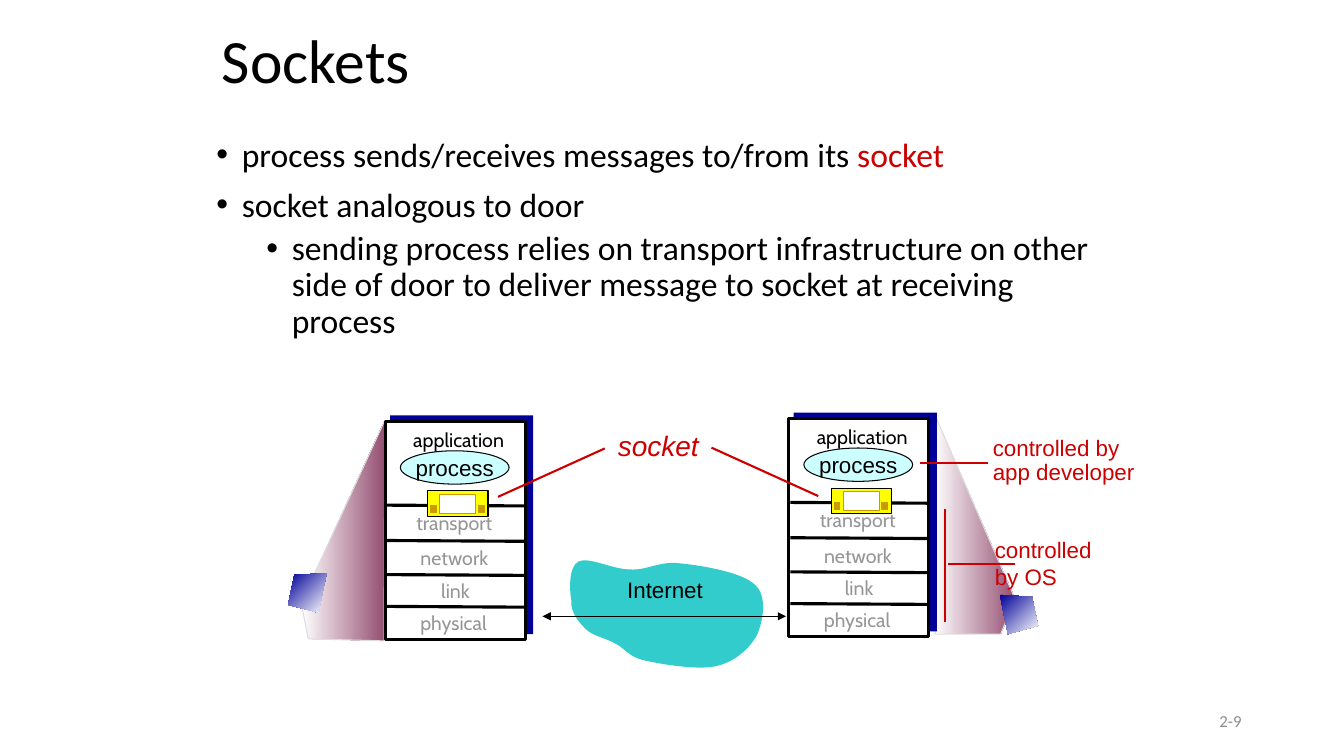
"""Build the slide that explains sockets between two hosts across the Internet."""
from dataclasses import dataclass
from typing import Any, NamedTuple, Optional

from lxml.etree import SubElement
from pptx import Presentation
from pptx.dml.color import RGBColor
from pptx.enum.shapes import MSO_CONNECTOR, MSO_SHAPE
from pptx.enum.text import MSO_ANCHOR, MSO_AUTO_SIZE, PP_ALIGN
from pptx.oxml.ns import qn
from pptx.util import Cm, Pt

BLACK, WHITE, RED, GREY = "000000", "FFFFFF", "CC0000", "969696"
NAVY, PURPLE, GOLD, YELLOW = "000099", "954F72", "CC9900", "FFFF00"
Point = tuple[float, float]


class Box(NamedTuple):
    left: float
    top: float
    width: float
    height: float

    def moved(self, origin: Point) -> "Box":
        return Box(self.left + origin[0], self.top + origin[1], self.width, self.height)

    def lengths(self) -> list[int]:
        return [Cm(value) for value in self]


@dataclass
class Block:
    box: Box
    fill: str
    line: Optional[str] = None
    weight: float = 0.75
    preset: MSO_SHAPE = MSO_SHAPE.RECTANGLE


@dataclass
class Label:
    box: Box
    lines: list[str]
    size: float = 16
    color: str = BLACK
    face: str = "Arial"
    italic: bool = False
    align: PP_ALIGN = PP_ALIGN.LEFT
    spacing: float = 1.0
    wrap: bool = False


@dataclass
class Line:
    start: Point
    end: Point
    color: str = RED
    weight: float = 1.5
    arrows: bool = False


@dataclass
class Outline:
    points: list[Point]
    colors: list[str]
    angle: float = 0
    line: Optional[str] = None
    curved: bool = False


@dataclass
class Bullet:
    runs: list[tuple[str, str]]
    level: int
    indent: float
    before: float


def set_all(target: Any, values: dict[str, Any]) -> None:
    for name, value in values.items():
        setattr(target, name, value)


def paint(color: Any, code: str) -> None:
    color.rgb = RGBColor.from_string(code)


def style_font(font: Any, size: float, color: str, face: str, italic: bool = False) -> None:
    set_all(font, {"size": Pt(size), "name": face, "italic": italic})
    paint(font.color, color)


def finish(shape: Any, colors: list[str], line: Optional[str], weight: float, angle: float = 0) -> None:
    shape.shadow.inherit = False
    if len(colors) > 1:
        shape.fill.gradient()
        shape.fill.gradient_angle = -angle % 360
        for stop, code in zip(shape.fill.gradient_stops, colors):
            paint(stop.color, code)
    else:
        shape.fill.solid()
        paint(shape.fill.fore_color, colors[0])
    if line:
        paint(shape.line.color, line)
        shape.line.width = Pt(weight)
    else:
        shape.line.fill.background()


def draw_block(shapes: Any, block: Block, origin: Point) -> Any:
    shape = shapes.add_shape(block.preset, *block.box.moved(origin).lengths())
    finish(shape, [block.fill], block.line, block.weight)
    return shape


def bend(shape: Any) -> None:
    segments = list(shape.element.iter(qn("a:lnTo")))
    for first in range(0, len(segments), 3):
        curve = segments[first].makeelement(qn("a:cubicBezTo"))
        segments[first].addprevious(curve)
        for segment in segments[first:first + 3]:
            curve.append(segment[0])
            segment.getparent().remove(segment)


def draw_outline(shapes: Any, outline: Outline) -> None:
    corners = [(Cm(x), Cm(y)) for x, y in outline.points]
    builder = shapes.build_freeform(*corners[0], scale=1.0)
    builder.add_line_segments(corners[1:], close=True)
    shape = builder.convert_to_shape()
    if outline.curved:
        bend(shape)
    finish(shape, outline.colors, outline.line, 0.75, outline.angle)


def draw_line(shapes: Any, line: Line) -> None:
    ends = [Cm(value) for value in (*line.start, *line.end)]
    connector = shapes.add_connector(MSO_CONNECTOR.STRAIGHT, *ends)
    paint(connector.line.color, line.color)
    connector.line.width = Pt(line.weight)
    properties = connector.element.spPr
    if line.arrows:
        for end in ("a:headEnd", "a:tailEnd"):
            SubElement(properties.find(qn("a:ln")), qn(end), type="triangle")
    SubElement(properties, qn("a:effectLst"))


def write(frame: Any, label: Label) -> None:
    frame.word_wrap = label.wrap
    for number, text in enumerate(label.lines):
        paragraph = frame.add_paragraph() if number else frame.paragraphs[0]
        set_all(paragraph, {"alignment": label.align, "line_spacing": label.spacing})
        run = paragraph.add_run()
        run.text = text
        style_font(run.font, label.size, label.color, label.face, label.italic)


def draw_label(shapes: Any, label: Label, origin: Point = (0, 0)) -> None:
    frame = shapes.add_textbox(*label.box.moved(origin).lengths()).text_frame
    frame.auto_size = MSO_AUTO_SIZE.SHAPE_TO_FIT_TEXT
    write(frame, label)


def draw_host(shapes: Any, origin: Point) -> None:
    for block in (Block(Box(0.12, -0.15, 3.61, 5.51), NAVY),
                  Block(Box(0, 0, 3.53, 5.49), WHITE, BLACK, 2.25)):
        draw_block(shapes, block, origin)
    for height in (2.11, 3, 3.86, 4.66):
        y = origin[1] + height
        draw_line(shapes, Line((origin[0] + 0.04, y), (origin[0] + 3.55, y + 0.02), BLACK, 2.25))
    for layer, left, top, color in (("application", 0.02, -0.03, BLACK), ("transport", -0.09, 2.06, GREY),
                                    ("network", -0.09, 2.96, GREY), ("link", -0.06, 3.78, GREY),
                                    ("physical", -0.11, 4.58, GREY)):
        draw_label(shapes, Label(Box(left, top, 3.66, 0.91), [layer], 14, color, "Cabin",
                                 align=PP_ALIGN.CENTER, spacing=1.1, wrap=True), origin)
    oval = Block(Box(0.38, 0.74, 2.74, 0.84), "CCFFFF", BLACK, preset=MSO_SHAPE.OVAL)
    process = draw_block(shapes, oval, origin)
    process.text_frame.vertical_anchor = MSO_ANCHOR.MIDDLE
    write(process.text_frame, Label(oval.box, ["process"], align=PP_ALIGN.CENTER))
    for part in (Block(Box(1.07, 1.75, 1.52, 0.64), YELLOW, BLACK),
                 Block(Box(1.37, 1.83, 0.91, 0.48), WHITE, GOLD),
                 *(Block(Box(left, 2.11, 0.15, 0.18), GOLD, GOLD) for left in (1.14, 2.34))):
        draw_block(shapes, part, origin)


def fill_placeholder(placeholder: Any, box: Box, bullets: list[Bullet], size: float) -> None:
    set_all(placeholder, dict(zip(("left", "top", "width", "height"), box.lengths())))
    frame = placeholder.text_frame
    set_all(frame, {"word_wrap": True, "auto_size": MSO_AUTO_SIZE.NONE})
    for number, bullet in enumerate(bullets):
        paragraph = frame.add_paragraph() if number else frame.paragraphs[0]
        set_all(paragraph, {"level": bullet.level, "line_spacing": 0.9, "alignment": PP_ALIGN.LEFT,
                            "space_before": Pt(bullet.before)})
        if bullet.indent:
            properties = paragraph._p.get_or_add_pPr()
            properties.set("marL", str(Cm(bullet.indent)))
            properties.set("indent", str(Cm(-0.64)))
            SubElement(properties, qn("a:buFont"), typeface="Arial")
            SubElement(properties, qn("a:buChar"), char="•")
        for text, color in bullet.runs:
            run = paragraph.add_run()
            run.text = text
            style_font(run.font, size, color, "Calibri")


CLOUD = [(14.4, 15.14), (14.35, 14.86), (14.33, 14.27), (14.58, 14.15), (14.83, 14.02), (15.44, 14.35),
         (15.88, 14.35), (16.31, 14.38), (16.64, 14.12), (17.17, 14.2), (17.7, 14.25), (18.72, 14.43),
         (19.02, 14.73), (19.35, 15.01), (19.23, 15.65), (19.08, 16), (18.9, 16.33), (18.52, 16.69),
         (18.03, 16.79), (17.58, 16.89), (16.66, 16.74), (16.23, 16.64), (15.82, 16.54), (15.75, 16.33),
         (15.49, 16.21), (15.27, 16.08), (14.94, 16.03), (14.76, 15.85), (14.58, 15.67), (14.38, 15.44),
         (14.4, 15.14)]
RIGHT_BEAM = [(25.58, 15.09), (23.54, 10.41), (23.57, 15.98), (25.22, 15.98)]
LEFT_BEAM = [(7.59, 15.19), (9.7, 10.59), (9.68, 16.15), (7.77, 16.1)]
LEFT_COMPUTER = [(8.23, 14.45), (7.42, 14.48), (7.26, 15.24), (8.03, 15.44)]
RIGHT_COMPUTER = [(25.2, 14.99), (26.01, 15.04), (26.16, 15.77), (25.4, 15.98)]
BULLETS = [
    Bullet([("process sends/receives messages to/from its ", BLACK), ("socket", RED)], 0, 0.64, 0),
    Bullet([("socket analogous to door", BLACK)], 0, 0.64, 10),
    Bullet([("sending process relies on transport infrastructure on other side of door "
             "to deliver message to socket at receiving process", BLACK)], 1, 1.9, 5)]


def main() -> None:
    deck = Presentation()
    set_all(deck, {"slide_width": Cm(33.87), "slide_height": Cm(19.05)})
    slide = deck.slides.add_slide(deck.slide_layouts[1])
    shapes = slide.shapes
    fill_placeholder(shapes.title, Box(5.34, 0.36, 22.43, 2.49), [Bullet([("Sockets", BLACK)], 0, 0, 0)], 44)
    fill_placeholder(slide.placeholders[1], Box(5.2, 3.35, 22.86, 6.48), BULLETS, 24)
    for outline in (Outline(RIGHT_BEAM, [WHITE, PURPLE], line="DDDDDD"),
                    Outline(CLOUD, ["33CCCC"], curved=True),
                    Outline(LEFT_BEAM, [WHITE, PURPLE], line="DDDDDD")):
        draw_outline(shapes, outline)
    for origin in ((9.71, 10.62), (19.88, 10.55)):
        draw_host(shapes, origin)
    for line in (Line((13.67, 15.53), (19.81, 15.53), BLACK, 0.75, True),
                 Line((24.89, 11.66), (23.19, 11.66)), Line((23.82, 12.83), (23.82, 15.67)),
                 Line((25.58, 14.22), (23.9, 14.22)), Line((12.55, 12.52), (15.24, 11.3)),
                 Line((20.62, 12.5), (17.93, 11.28))):
        draw_line(shapes, line)
    for label in (Label(Box(15.54, 14.39, 2.44, 0.94), ["Internet"], align=PP_ALIGN.CENTER),
                  Label(Box(24.82, 13.39, 2.95, 1.5), ["controlled", "by OS"], color=RED),
                  Label(Box(24.77, 10.88, 4.09, 1.47), ["controlled by", "app developer"], color=RED, spacing=0.9),
                  Label(Box(15.32, 10.77, 2.8, 1.02), ["socket"], 20, RED, italic=True, spacing=0.9),
                  Label(Box(23.92, 17.79, 7.62, 0.77), ["2-9"], 12, "8C8C8C", "Calibri",
                        align=PP_ALIGN.RIGHT, wrap=True)):
        draw_label(shapes, label)
    for computer in (LEFT_COMPUTER, RIGHT_COMPUTER):
        draw_outline(shapes, Outline(computer, [NAVY, WHITE], 45))
    deck.save("out.pptx")


if __name__ == "__main__":
    main()
